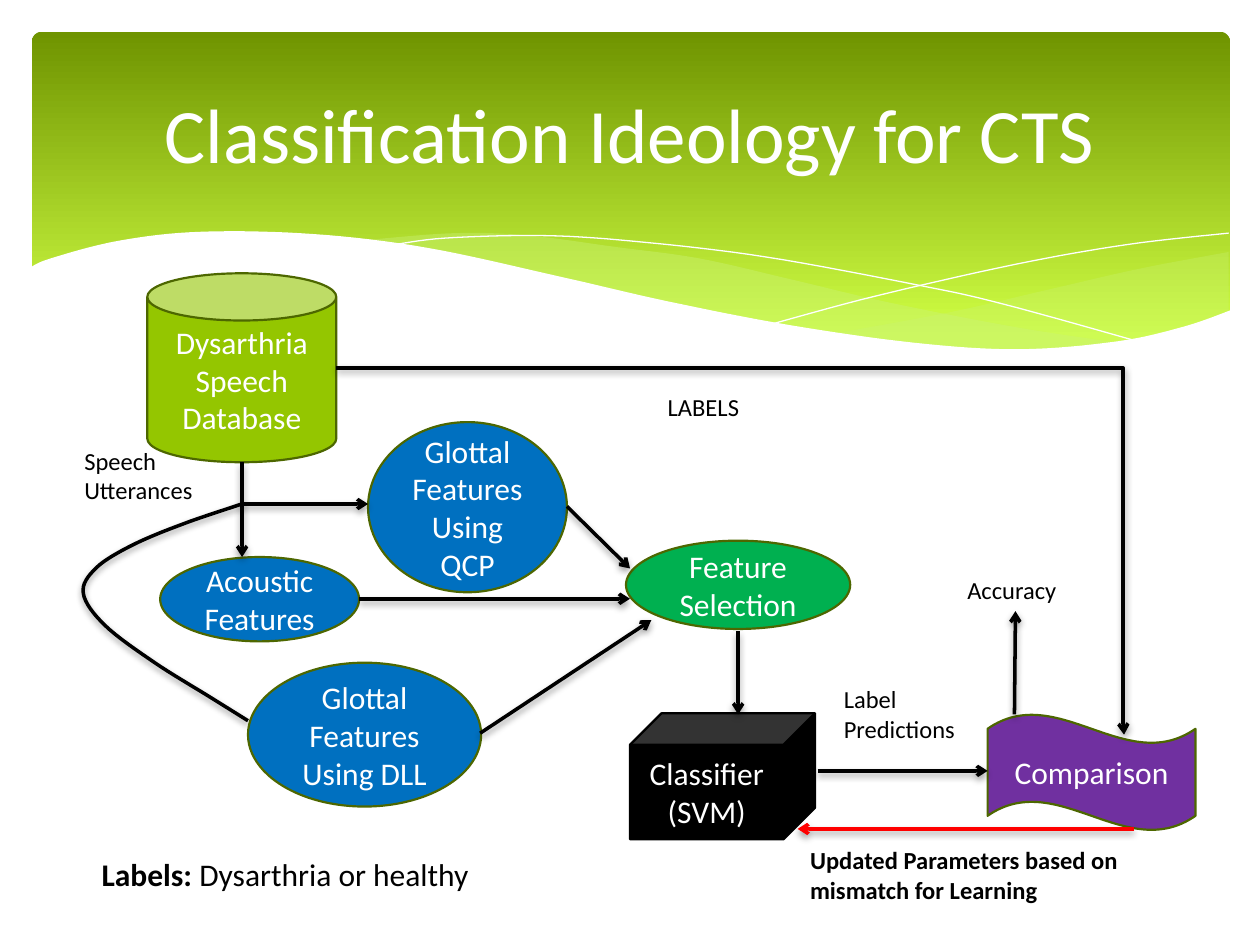
from dataclasses import dataclass

import lxml.etree
import pptx
import pptx.dml.color
import pptx.enum.shapes
import pptx.enum.text
import pptx.oxml
import pptx.oxml.ns
import pptx.util

Cm, Pt = pptx.util.Cm, pptx.util.Pt
Kind = pptx.enum.shapes.MSO_SHAPE
Link = pptx.enum.shapes.MSO_CONNECTOR
Align = pptx.enum.text.PP_ALIGN
qn = pptx.oxml.ns.qn
Point = tuple[float, float]

COLORS = {
    "white": "FFFFFF", "black": "000000", "red": "FF0000",
    "dark": "6F9400", "lime": "D0FF44", "pale": "CAF278",
    "leaf": "94C600", "edge": "4D6700", "blue": "0070C0",
    "green": "00B050", "purple": "7030A0",
}
SHADOW = (
    f'<a:effectLst {pptx.oxml.ns.nsdecls("a")}>'
    '<a:outerShdw blurRad="50800" dist="25400" dir="5400000" rotWithShape="0">'
    '<a:srgbClr val="000000"><a:alpha val="38000"/></a:srgbClr>'
    '</a:outerShdw></a:effectLst>'
)


@dataclass
class Node:
    kind: Kind
    box: tuple[float, float, float, float]
    text: str
    fill: str
    edge: str = "edge"


@dataclass
class Arrow:
    start: Point
    end: Point
    color: str = "black"
    bend: float | None = None


@dataclass
class Label:
    box: tuple[float, float, float, float]
    text: str
    size: int = 14
    bold: bool = False
    wrap: bool = False
    lead: str = ""


@dataclass
class Curve:
    """A smooth run through knots, closed over straight corners when filled."""
    knots: list[Point]
    corners: tuple[Point, ...] = ()
    fill: str | None = None
    alpha: int = 100
    line: str = "white"
    width: float = 0


WAVES = [
    Curve([(24.77, 5.08), (23.01, 5.41), (21.13, 5.84), (19.13, 6.3),
           (16.79, 6.73), (16.79, 6.73), (18.59, 6.96), (20.4, 7.06),
           (22.15, 6.96), (23.57, 6.68), (24.77, 6.27)], fill="pale", alpha=29),
    Curve([(22.68, 6.93), (20.5, 6.6), (17.93, 6.1), (15.98, 5.64),
           (14.1, 5.21), (12.42, 4.98), (10.67, 4.75), (9.17, 4.7),
           (7.26, 4.85), (7.26, 4.85), (9.19, 5.16), (11.4, 5.64),
           (14.38, 6.3), (16.89, 6.76), (19.33, 7.04), (21.03, 7.06),
           (22.68, 6.93)], fill="pale", alpha=40),
    Curve([(7.85, 4.95), (8.97, 4.8), (11, 4.75), (12.95, 4.88),
           (15.44, 5.18), (18.47, 5.74), (20.19, 6.12), (23.04, 6.91)]),
    Curve([(15.57, 6.53), (17.65, 5.97), (20.47, 5.33), (22.73, 4.93),
           (24.77, 4.7)]),
    Curve([(24.82, 6.25), (23.88, 6.58), (22.53, 6.88), (20.55, 7.04),
           (18.44, 6.91), (15.9, 6.55), (13.44, 6.07), (11.35, 5.59),
           (8.64, 5), (6.35, 4.72), (4.09, 4.67), (2.41, 4.85),
           (1.02, 5.21), (0.58, 5.41)],
          corners=((0.58, 8.36), (24.82, 8.36)), fill="white"),
]
LOOP = Curve([(4.88, 10.16), (3.7, 10.56), (2.67, 10.99), (1.94, 11.45),
              (1.68, 11.96), (2.12, 12.61), (3.12, 13.36), (4.23, 14.05),
              (5, 14.53)], line="black", width=2)
NODES = [
    Node(Kind.CAN, (2.97, 5.51, 3.81, 3.81), "Dysarthria Speech Database", "leaf"),
    Node(Kind.OVAL, (3.23, 11.23, 4.01, 1.7), "Acoustic Features", "blue"),
    Node(Kind.OVAL, (7.42, 8.51, 4.01, 3.43), "Glottal Features\nUsing QCP", "blue"),
    Node(Kind.OVAL, (12.62, 10.9, 4.52, 1.78), "Feature\nSelection", "green"),
    Node(Kind.CUBE, (12.7, 14.38, 3.73, 2.54), "Classifier\n(SVM)", "black", "black"),
    Node(Kind.WAVE, (19.91, 14.4, 4.19, 2.34), "Comparison", "purple"),
    Node(Kind.OVAL, (5, 13.36, 4.7, 2.9), "Glottal Features\nUsing DLL", "blue"),
]
ARROWS = [
    Arrow((4.88, 9.32), (4.88, 11.23)),
    Arrow((4.88, 10.16), (7.42, 10.16)),
    Arrow((11.43, 10.21), (12.7, 11.46)),
    Arrow((7.24, 12.07), (12.7, 12.07)),
    Arrow((14.88, 12.73), (14.88, 14.4)),
    Arrow((6.78, 7.42), (22.66, 14.81), bend=0.999),
    Arrow((16.48, 15.54), (19.91, 15.54)),
    Arrow((20.45, 14.4), (20.47, 12.32)),
    Arrow((22.86, 16.71), (16.08, 16.71), "red"),
    Arrow((9.68, 14.78), (13.13, 12.5)),
]
LABELS = [
    Label((1.45, 8.86, 2.84, 1.45), "Speech\nUtterances"),
    Label((13.21, 7.77, 2.11, 0.86), "LABELS"),
    Label((16.76, 13.67, 2.87, 1.45), "Label\nPredictions"),
    Label((19.25, 11.46, 2.41, 0.86), "Accuracy"),
    Label((16.08, 16.92, 6.78, 1.45),
          "Updated Parameters based on mismatch for Learning", bold=True, wrap=True),
    Label((1.8, 17.12, 8.69, 1.02), "Dysarthria or healthy", 18, wrap=True,
          lead="Labels: "),
]


def rgb(name: str) -> pptx.dml.color.RGBColor:
    return pptx.dml.color.RGBColor.from_string(COLORS[name])


def write(frame, text: str, *, size: int = 18, color: str = "white",
          bold: bool = False, align=Align.CENTER, lead: str = "") -> None:
    """Fill a frame, one paragraph a line, after an optional bold lead."""
    for i, line in enumerate(text.split("\n")):
        para = frame.add_paragraph() if i else frame.paragraphs[0]
        para.alignment = align
        for part, heavy in ((lead, True), (line, bold)):
            if part:
                run = para.add_run()
                run.text = part
                run.font.name, run.font.size = "Calibri", Pt(size)
                run.font.bold = heavy
                run.font.color.rgb = rgb(color)


def stroke(line, color: str, width: float) -> None:
    line.color.rgb = rgb(color)
    line.width = Pt(width)


def shade(shape) -> None:
    shape.element.spPr.append(pptx.oxml.parse_xml(SHADOW))


def smooth(knots: list[Point], steps: int = 8) -> list[Point]:
    """Points of a Catmull-Rom spline through the knots."""
    ends = [knots[0], *knots, knots[-1]]
    points = [knots[0]]
    for a, b, c, d in zip(ends, ends[1:], ends[2:], ends[3:]):
        for t in (n / steps for n in range(1, steps + 1)):
            points.append(tuple(
                (2 * q + (r - p) * t + (2 * p - 5 * q + 4 * r - s) * t ** 2
                 + (3 * q - p - 3 * r + s) * t ** 3) / 2
                for p, q, r, s in zip(a, b, c, d)))
    return points


def draw_curve(shapes, curve: Curve):
    first, *rest = [(Cm(x), Cm(y)) for x, y in (*smooth(curve.knots), *curve.corners)]
    pen = shapes.build_freeform(*first)
    pen.add_line_segments(rest, close=curve.fill is not None)
    shape = pen.convert_to_shape()
    if curve.fill:
        shape.fill.solid()
        shape.fill.fore_color.rgb = rgb(curve.fill)
        tint = shape.element.spPr.find(".//" + qn("a:srgbClr"))
        lxml.etree.SubElement(tint, qn("a:alpha"), val=str(curve.alpha * 1000))
        shape.line.fill.background()
    else:
        shape.fill.background()
        stroke(shape.line, curve.line, curve.width)
    if curve.width:
        shade(shape)
    else:
        shape.shadow.inherit = False


def draw_node(shapes, node: Node) -> None:
    shape = shapes.add_shape(node.kind, *map(Cm, node.box))
    shape.shadow.inherit = False
    shape.fill.solid()
    shape.fill.fore_color.rgb = rgb(node.fill)
    stroke(shape.line, node.edge, 1.25)
    write(shape.text_frame, node.text)


def draw_arrow(shapes, arrow: Arrow) -> None:
    kind = Link.STRAIGHT if arrow.bend is None else Link.ELBOW
    link = shapes.add_connector(kind, *map(Cm, (*arrow.start, *arrow.end)))
    stroke(link.line, arrow.color, 2)
    props = link.element.spPr
    lxml.etree.SubElement(props.find(qn("a:ln")), qn("a:tailEnd"), type="arrow")
    if arrow.bend is not None:
        lxml.etree.SubElement(props.find(".//" + qn("a:avLst")), qn("a:gd"),
                              name="adj1", fmla=f"val {round(arrow.bend * 100000)}")
    shade(link)


def draw_label(shapes, label: Label) -> None:
    frame = shapes.add_textbox(*map(Cm, label.box)).text_frame
    frame.word_wrap = label.wrap
    frame.auto_size = pptx.enum.text.MSO_AUTO_SIZE.SHAPE_TO_FIT_TEXT
    write(frame, label.text, size=label.size, color="black", bold=label.bold,
          align=Align.LEFT, lead=label.lead)


def draw_banner(shapes) -> None:
    panel = shapes.add_shape(Kind.ROUNDED_RECTANGLE, *map(Cm, (0.64, 0.64, 24.16, 6.86)))
    panel.adjustments[0] = 0.03
    panel.shadow.inherit = False
    panel.line.fill.background()
    panel.fill.gradient()
    panel.fill.gradient_angle = 270
    for stop, (place, name) in zip(panel.fill.gradient_stops, ((0, "dark"), (0.9, "lime"))):
        stop.position, stop.color.rgb = place, rgb(name)
    for wave in WAVES:
        draw_curve(shapes, wave)


def main() -> None:
    deck = pptx.Presentation()
    deck.slide_width, deck.slide_height = Cm(25.4), Cm(19.05)
    shapes = deck.slides.add_slide(deck.slide_layouts[5]).shapes
    draw_banner(shapes)

    title = shapes.title
    shapes.element.append(title.element)
    title.left, title.top, title.width, title.height = map(Cm, (1.27, 0.94, 22.86, 3.48))
    title.text_frame.vertical_anchor = pptx.enum.text.MSO_ANCHOR.MIDDLE
    write(title.text_frame, "Classification Ideology for CTS", size=44)

    draw_curve(shapes, LOOP)
    for draw, items in ((draw_node, NODES), (draw_arrow, ARROWS), (draw_label, LABELS)):
        for item in items:
            draw(shapes, item)
    deck.save("out.pptx")


if __name__ == "__main__":
    main()
